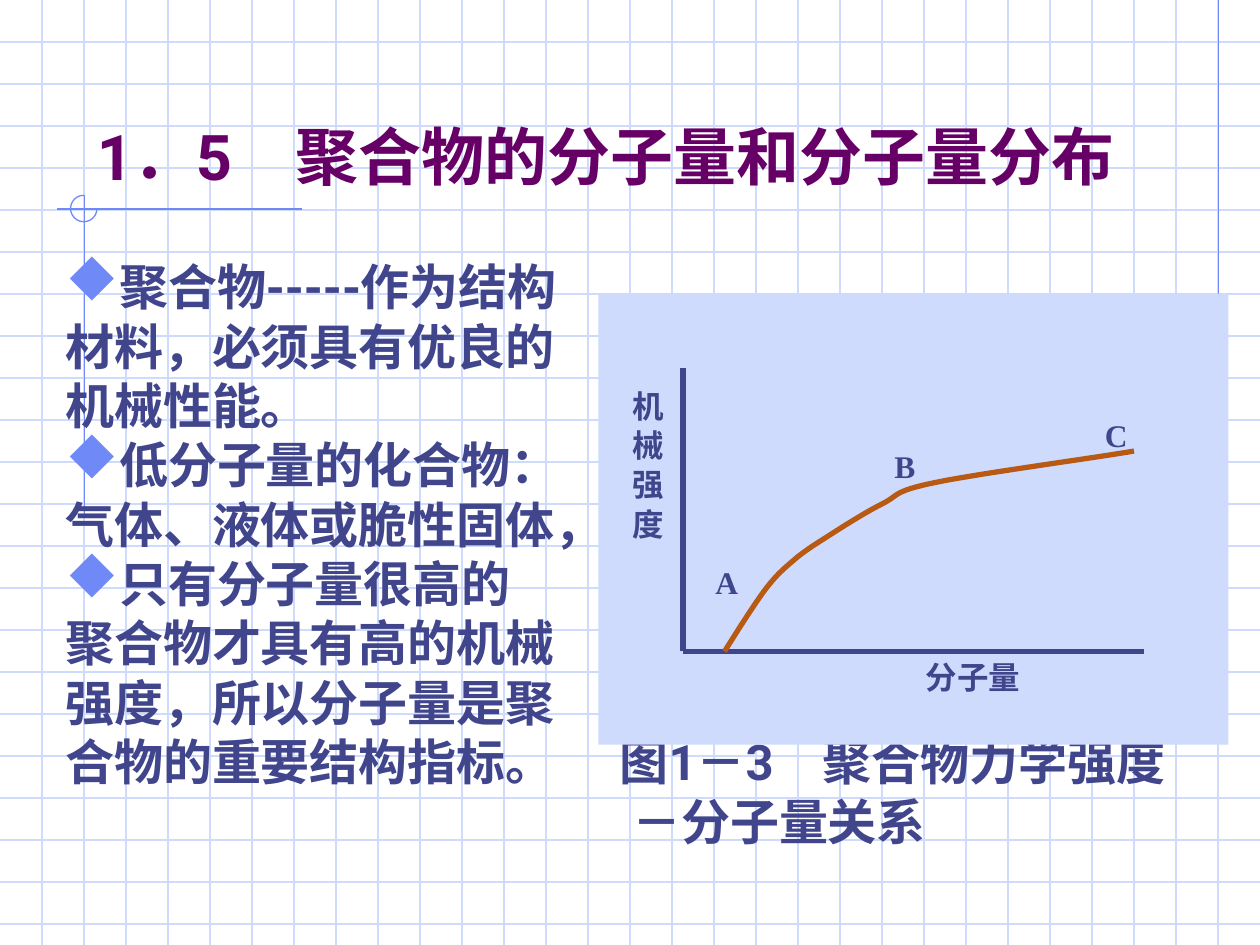
from dataclasses import dataclass

from lxml import etree
from pptx import Presentation
from pptx.dml.color import RGBColor
from pptx.enum.shapes import MSO_CONNECTOR, MSO_SHAPE
from pptx.enum.text import MSO_ANCHOR, MSO_AUTO_SIZE, PP_ALIGN
from pptx.oxml.ns import qn
from pptx.util import Inches, Pt

STRAIGHT = MSO_CONNECTOR.STRAIGHT
RECT, ARC = MSO_SHAPE.RECTANGLE, MSO_SHAPE.ARC
TOP, BOTTOM = MSO_ANCHOR.TOP, MSO_ANCHOR.BOTTOM
LEFT, JUSTIFY = PP_ALIGN.LEFT, PP_ALIGN.JUSTIFY
GROW = MSO_AUTO_SIZE.SHAPE_TO_FIT_TEXT
COLORS = {"grid": "CFDBFD", "accent": "6F89F7", "title": "660066",
          "text": "40458C", "curve": "B85A14"}
WIDE, HIGH, STEP = 10, 7.5, 1 / 3
SANS, SERIF = "Roboto", "Times New Roman"


@dataclass
class Rule:
    x1: float
    y1: float
    x2: float
    y2: float
    color: str = "accent"
    weight: float = 0.75


@dataclass
class Para:
    text: str
    bullet: bool = False
    margin: float = 0
    indent: float = 0


@dataclass
class Box:
    x: float
    y: float
    w: float
    h: float
    paras: list[Para]
    size: float = 18
    font: str = SANS
    color: str = "text"
    align: PP_ALIGN = LEFT
    anchor: MSO_ANCHOR = TOP
    wrap: bool = True
    grow: bool = False
    upright: bool = False
    spacing: float = 1
    before: float = 0


def rgb(name: str) -> RGBColor:
    return RGBColor.from_string(COLORS[name])


def add(parent, tag: str, **attrs: str):
    return etree.SubElement(parent, qn(tag), attrs)


def draw_rule(shapes, rule: Rule) -> None:
    line = shapes.add_connector(STRAIGHT, Inches(rule.x1), Inches(rule.y1),
                                Inches(rule.x2), Inches(rule.y2))
    line.line.color.rgb = rgb(rule.color)
    line.line.width = Pt(rule.weight)
    add(line._element.spPr, "a:effectLst")


def draw_box(shapes, box: Box) -> None:
    shape = shapes.add_textbox(Inches(box.x), Inches(box.y),
                               Inches(box.w), Inches(box.h))
    frame = shape.text_frame
    frame.word_wrap = box.wrap
    frame.vertical_anchor = box.anchor
    if box.grow:
        frame.auto_size = GROW
    if box.upright:
        frame._txBody.bodyPr.set("vert", "eaVert")
        frame.margin_left = frame.margin_right = Inches(0.05)
        frame.margin_top = frame.margin_bottom = Inches(0.1)
    for i, item in enumerate(box.paras):
        para = frame.add_paragraph() if i else frame.paragraphs[0]
        para.text = item.text
        props = para._p.get_or_add_pPr()
        props.set("marL", str(Inches(item.margin)))
        props.set("indent", str(Inches(item.indent)))
        if item.bullet:
            # Letter u is the diamond in Wingdings
            add(add(props, "a:buClr"), "a:srgbClr", val=COLORS["accent"])
            add(props, "a:buSzPct", val="110000")
            add(props, "a:buFont", typeface="Wingdings", charset="2")
            add(props, "a:buChar", char="u")
        para.alignment = box.align
        para.line_spacing = box.spacing
        if i:
            para.space_before = Pt(box.before)
        font = para.font
        font.name, font.size, font.bold = box.font, Pt(box.size), True
        font.color.rgb = rgb(box.color)
        add(props.find(qn("a:defRPr")), "a:ea", typeface=box.font)


def draw_curve(shapes, start: tuple, arcs: list[tuple], parts: int = 12) -> None:
    """Trace cubic arcs, each given as two controls and an end."""
    points, p0 = [], start
    for p1, p2, p3 in arcs:
        for n in range(1, parts + 1):
            t = n / parts
            u = 1 - t
            points.append(tuple(
                Inches(u**3 * a + 3 * u * u * t * b + 3 * u * t * t * c + t**3 * d)
                for a, b, c, d in zip(p0, p1, p2, p3)))
        p0 = p3
    pen = shapes.build_freeform(Inches(start[0]), Inches(start[1]))
    pen.add_line_segments(points, close=False)
    shape = pen.convert_to_shape()
    shape.shadow.inherit = False
    shape.fill.background()
    shape.line.color.rgb = rgb("curve")
    shape.line.width = Pt(3)


def main() -> None:
    deck = Presentation()
    deck.slide_width, deck.slide_height = Inches(WIDE), Inches(HIGH)
    shapes = deck.slides.add_slide(deck.slide_layouts[6]).shapes

    # Background grid
    for n in range(1, 23):
        draw_rule(shapes, Rule(0, n * STEP, WIDE, n * STEP, "grid"))
    for n in range(1, 30):
        draw_rule(shapes, Rule(n * STEP, 0, n * STEP, HIGH, "grid"))

    # Accent lines and open ring
    for rule in (Rule(9.67, 0, 9.67, 2.58), Rule(2.4, 1.66, 0.45, 1.66),
                 Rule(0.67, 1.55, 0.67, 4.09)):
        draw_rule(shapes, rule)
    ring = shapes.add_shape(ARC, Inches(0.56), Inches(1.55),
                            Inches(0.21), Inches(0.21))
    ring.adjustments[0], ring.adjustments[1] = 0, 162
    ring.shadow.inherit = False
    ring.fill.background()
    ring.line.color.rgb = rgb("accent")
    ring.line.width = Pt(0.75)

    # Title, body and caption
    def point(text: str) -> Para:
        return Para(text, True, 0.38, -0.38)

    draw_box(shapes, Box(
        0.67, 0.33, 8.4, 1.25, [Para("1．5　聚合物的分子量和分子量分布")],
        36, color="title", anchor=BOTTOM))
    draw_box(shapes, Box(0.42, 2.08, 4.6, 5.17, [
        point("聚合物-----作为结构"),
        Para("材料，必须具有优良的"),
        Para("机械性能。"),
        point("低分子量的化合物："),
        Para("气体、液体或脆性固体，"),
        point("只有分子量很高的"),
        Para("聚合物才具有高的机械"),
        Para("强度，所以分子量是聚"),
        Para("合物的重要结构指标。"),
    ], 28, align=JUSTIFY, spacing=0.8, before=7))
    draw_box(shapes, Box(4.82, 5.85, 5.1, 1.1, [
        Para("图1－3　聚合物力学强度"),
        Para("－分子量关系", margin=0.1),
    ], 28, spacing=0.8, before=7))

    # Graph panel, axes and curve
    panel = shapes.add_shape(RECT, Inches(4.75), Inches(2.33),
                             Inches(5), Inches(3.58))
    panel.shadow.inherit = False
    panel.fill.solid()
    panel.fill.fore_color.rgb = rgb("grid")
    panel.line.fill.background()
    for x, y in ((9.08, 5.17), (5.42, 2.92)):
        draw_rule(shapes, Rule(5.42, 5.17, x, y, "text", 3))
    draw_curve(shapes, (5.75, 5.17), [
        ((5.87, 4.98), (5.99, 4.79), (6.08, 4.67)),
        ((6.18, 4.54), (6.25, 4.49), (6.33, 4.42)),
        ((6.42, 4.35), (6.47, 4.32), (6.58, 4.25)),
        ((6.69, 4.18), (6.86, 4.07), (7, 4)),
        ((7.14, 3.93), (7.08, 3.9), (7.42, 3.83)),
        ((7.75, 3.76), (8.72, 3.63), (9, 3.58)),
    ])

    # Axis and point labels
    draw_box(shapes, Box(7.25, 5.17, 0.95, 0.4, [Para("分子量")],
                         wrap=False, grow=True))
    draw_box(shapes, Box(4.84, 3, 0.5, 1.58, [Para("机 械 强 度")],
                         align=JUSTIFY, upright=True))
    for text, x, y, w in (("A", 5.58, 4.42, 0.42), ("B", 7, 3.5, 0.33),
                          ("C", 8.67, 3.25, 0.5)):
        draw_box(shapes, Box(x, y, w, 0.4, [Para(text)],
                             font=SERIF, grow=True))

    deck.save("out.pptx")


if __name__ == "__main__":
    main()
